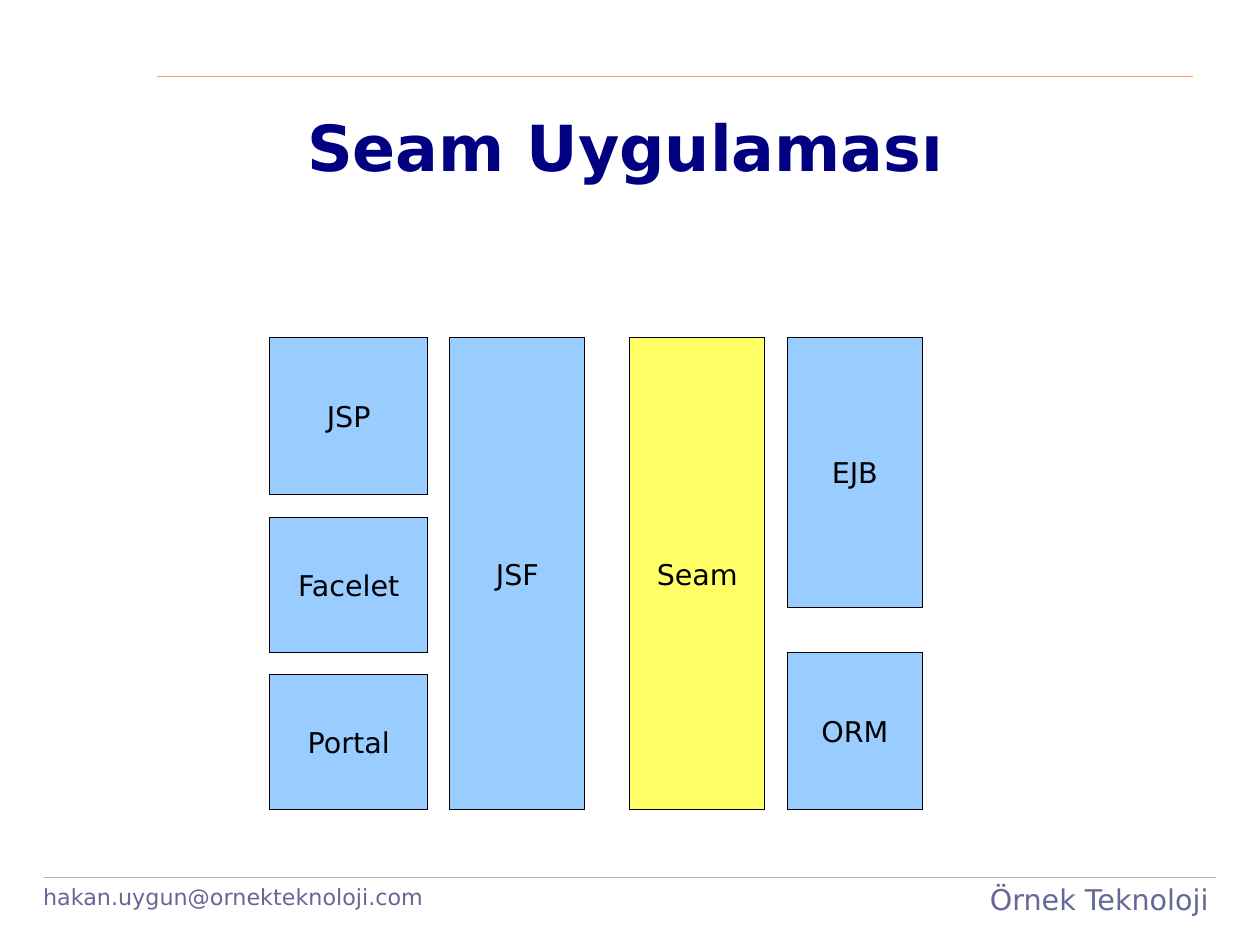
from dataclasses import dataclass

from lxml.etree import SubElement
from pptx import Presentation
from pptx.dml.color import RGBColor
from pptx.enum.shapes import MSO_CONNECTOR, MSO_SHAPE
from pptx.enum.text import MSO_ANCHOR, PP_ALIGN
from pptx.oxml.ns import qn
from pptx.util import Pt

FONT = "DejaVu Sans"
UNIT = 14.17  # grid step of the diagram, in points
HAIRLINE = 0.01
BLUE, YELLOW, BLACK = "99CCFF", "FFFF66", "000000"
NAVY, SLATE, ORANGE, GRAY = "000080", "666699", "FF9966", "B2B2B2"


@dataclass
class Block:
    """A diagram block, measured in grid steps."""
    label: str
    left: int
    top: int
    width: int
    height: int
    fill: str = BLUE


@dataclass
class Rule:
    """A horizontal line, measured in points."""
    left: float
    right: float
    y: float
    color: str


@dataclass
class FooterText:
    """A line of footer text, measured in points."""
    text: str
    left: float
    top: float
    width: float
    height: float
    size: int


BLOCKS = [
    Block("JSP", 12, 15, 7, 7),
    Block("Facelet", 12, 23, 7, 6),
    Block("Portal", 12, 30, 7, 6),
    Block("JSF", 20, 15, 6, 21),
    Block("EJB", 35, 15, 6, 12),
    Block("ORM", 35, 29, 6, 7),
    Block("Seam", 28, 15, 6, 21, YELLOW),
]
RULES = [
    Rule(28.1, 765.4, 552.8, GRAY),
    Rule(99.2, 751.2, 48.2, ORANGE),
]
FOOTERS = [
    FooterText("hakan.uygun@ornekteknoloji.com", 20, 552.7, 368.6, 24, 14),
    FooterText("Örnek Teknoloji", 616.5, 552, 175, 28, 18),
]


def rgb(color: str) -> RGBColor:
    return RGBColor.from_string(color)


def write(frame, text: str, *, size: int = 18, color: str = BLACK,
          bold: bool = False, align=PP_ALIGN.CENTER,
          anchor=MSO_ANCHOR.MIDDLE) -> None:
    frame.word_wrap = True
    frame.vertical_anchor = anchor
    paragraph = frame.paragraphs[0]
    paragraph.alignment = align
    run = paragraph.add_run()
    run.text = text
    run.font.name = FONT
    run.font.size = Pt(size)
    run.font.bold = bold
    run.font.color.rgb = rgb(color)


def draw_block(slide, block: Block) -> None:
    box = [Pt(steps * UNIT)
           for steps in (block.left, block.top, block.width, block.height)]
    rectangle = slide.shapes.add_shape(MSO_SHAPE.RECTANGLE, *box)
    rectangle.shadow.inherit = False
    rectangle.fill.solid()
    rectangle.fill.fore_color.rgb = rgb(block.fill)
    rectangle.line.color.rgb = rgb(BLACK)
    rectangle.line.width = Pt(HAIRLINE)
    write(rectangle.text_frame, block.label)


def draw_rule(slide, rule: Rule) -> None:
    line = slide.shapes.add_connector(
        MSO_CONNECTOR.STRAIGHT,
        Pt(rule.left), Pt(rule.y), Pt(rule.right), Pt(rule.y))
    line.line.color.rgb = rgb(rule.color)
    line.line.width = Pt(HAIRLINE)
    SubElement(line._element.spPr, qn("a:effectLst"))


def draw_footer(slide, footer: FooterText) -> None:
    box = slide.shapes.add_textbox(Pt(footer.left), Pt(footer.top),
                                   Pt(footer.width), Pt(footer.height))
    write(box.text_frame, footer.text, size=footer.size, color=SLATE,
          align=PP_ALIGN.LEFT, anchor=MSO_ANCHOR.TOP)


def set_title(slide, text: str) -> None:
    title = slide.shapes.title
    title.left, title.top = Pt(36.7), Pt(42.5)
    title.width, title.height = Pt(714.2), Pt(99.4)
    frame = title.text_frame
    frame.margin_left = frame.margin_right = Pt(0)
    frame.margin_top = frame.margin_bottom = Pt(0)
    write(frame, text, size=40, color=NAVY, bold=True)


def main() -> None:
    presentation = Presentation()
    presentation.slide_width = Pt(793.7)
    presentation.slide_height = Pt(595.28)
    slide = presentation.slides.add_slide(presentation.slide_layouts[5])

    # Header and footer
    for rule in RULES:
        draw_rule(slide, rule)
    for footer in FOOTERS:
        draw_footer(slide, footer)
    set_title(slide, "Seam Uygulaması")

    # Application layers
    for block in BLOCKS:
        draw_block(slide, block)

    presentation.save("out.pptx")


if __name__ == "__main__":
    main()
